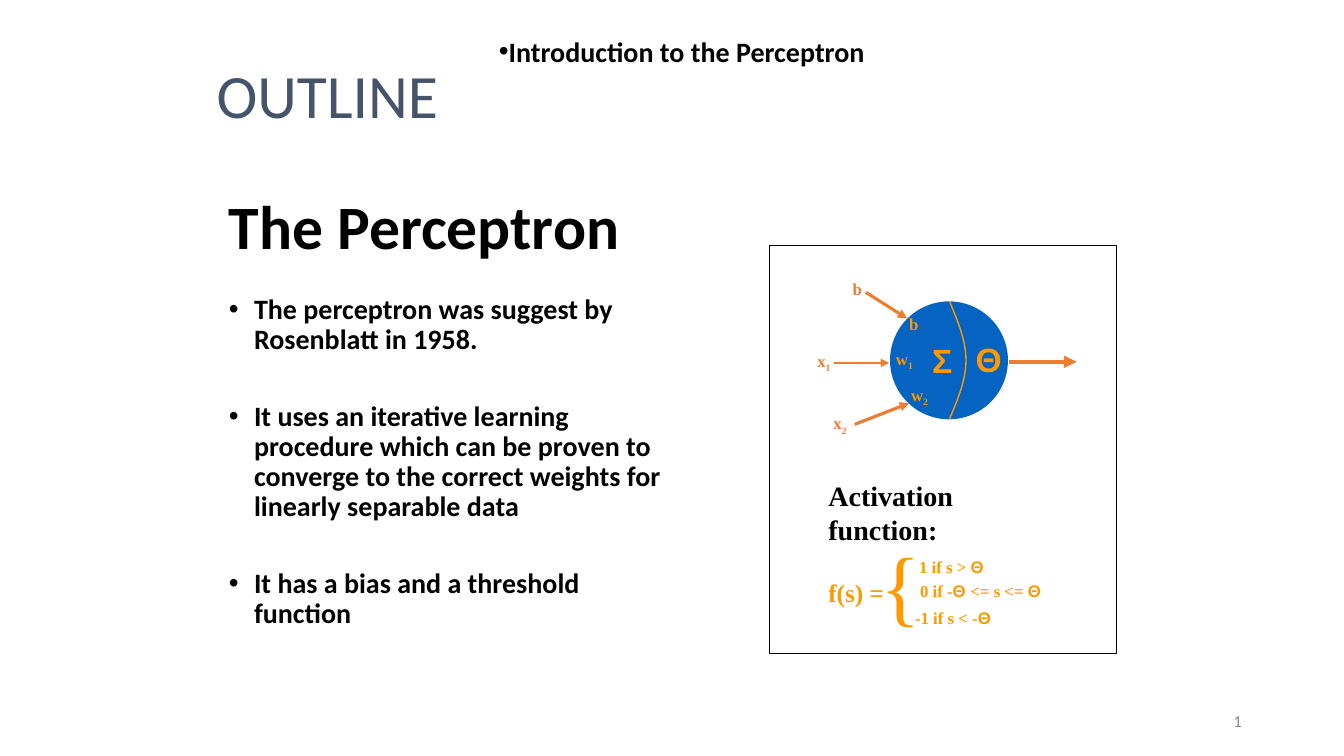
"""Builds the perceptron outline slide on a grid of 40 by 22.5 square cells."""
from dataclasses import dataclass

from lxml import etree
from pptx import Presentation
from pptx import util as u
from pptx.dml.color import RGBColor
from pptx.enum import shapes, text
from pptx.oxml.ns import qn
from pptx.shapes.shapetree import GroupShapes
from pptx.slide import Slide
from pptx.text.text import TextFrame, _Paragraph, _Run

CELL = u.Inches(1) / 3
COLUMNS, ROWS = 40, 22.5


@dataclass(frozen=True)
class Theme:
    """Holds the fonts, colours and type sizes."""

    sans: str = "Calibri"
    serif: str = "Times New Roman"
    symbol: str = "Arial"
    ink: str = "000000"
    paper: str = "FFFFFF"
    heading: str = "44546A"
    muted: str = "8C8C8C"
    cell_body: str = "0563C1"
    gold: str = "FF9900"
    orange: str = "ED7D31"
    small: int = 12
    formula: int = 18
    body: int = 20
    sign: int = 24
    title: int = 44
    brace: int = 60


THEME = Theme()


@dataclass(frozen=True)
class Span:
    """Describes a stretch of text in one format."""

    words: str
    color: str = THEME.gold
    size: int = THEME.small
    font: str = THEME.serif
    bold: bool = True
    subscript: bool = False


@dataclass(frozen=True)
class Area:
    """Gives a place and a size in columns and rows."""

    column: float
    row: float
    columns: float
    rows: float

    def emu(self) -> tuple[int, int, int, int]:
        """Return left, top, width and height in slide units."""
        return grid(self.column), grid(self.row), grid(self.columns), grid(self.rows)


@dataclass(frozen=True)
class Label:
    """Describes one line of text and its place."""

    area: Area
    spans: tuple[Span, ...]


@dataclass(frozen=True)
class Arrow:
    """Describes an arrow between two grid points."""

    start: tuple[float, float]
    end: tuple[float, float]
    weight: float


def grid(cells: float) -> int:
    """Turn a count of cells into slide units."""
    return round(cells * CELL)


def weighted(name: str, number: int, color: str) -> tuple[Span, Span]:
    """Return a letter followed by its index."""
    return Span(name, color), Span(str(number), color, subscript=True)


THETA = Span("Θ", font=THEME.symbol)

NEURON_LABELS = [
    Label(Area(28.74, 9.93, 1.35, 1.5), (Span("Θ", size=THEME.sign, font=THEME.symbol),)),
    Label(Area(27.45, 9.96, 1.2, 1.5), (Span("Σ", size=THEME.sign, font=THEME.symbol),)),
    Label(Area(26.37, 10.23, 1.14, 0.9), weighted("w", 1, THEME.gold)),
    Label(Area(26.82, 11.31, 1.14, 0.9), weighted("w", 2, THEME.gold)),
    Label(Area(24.03, 10.29, 1.02, 0.9), weighted("x", 1, THEME.orange)),
    Label(Area(24.51, 12.15, 1.02, 0.9), weighted("x", 2, THEME.orange)),
    Label(Area(25.08, 8.16, 0.87, 0.9), (Span("b", THEME.orange),)),
    Label(Area(26.76, 9.18, 0.87, 0.9), (Span("b"),)),
]

ARROWS = [
    Arrow((30.03, 10.77), (32.04, 10.77), 3),
    Arrow((25.77, 8.7), (27, 9.48), 2.25),
    Arrow((25.44, 12.63), (27.06, 12), 2.25),
    Arrow((24.81, 10.8), (26.46, 10.8), 1.5),
]

FORMULA_LABELS = [
    Label(Area(24.36, 16.77, 2.52, 1.5),
          (Span("f(s) =", size=THEME.formula), Span(" ", THEME.ink, THEME.sign, bold=False))),
    Label(Area(27.06, 16.41, 2.64, 0.9), (Span("1 if s > "), THETA)),
    Label(Area(27.09, 17.13, 4.29, 0.9),
          (Span("0 if -"), Span("Θ ", font=THEME.symbol), Span("<= s <= "), THETA)),
    Label(Area(26.94, 17.94, 2.97, 0.9), (Span("-1 if s < -"), THETA)),
    Label(Area(25.92, 15.69, 1.8, 3.3), (Span("{", size=THEME.brace, bold=False),)),
]

POINTS = [
    "The perceptron was suggest by Rosenblatt in 1958.",
    "It uses an iterative learning procedure which can be proven to converge "
    "to the correct weights for linearly separable data",
    "It has a bias and a threshold function",
]


def format_run(run: _Run, span: Span) -> None:
    """Give a run the format of its span."""
    run.font.name, run.font.size, run.font.bold = span.font, u.Pt(span.size), span.bold
    run.font.color.rgb = RGBColor.from_string(span.color)
    if span.subscript:
        run.font._element.set("baseline", "-25000")


def fill_paragraph(para: _Paragraph, spans: tuple[Span, ...]) -> None:
    """Write the spans into a paragraph."""
    for span in spans:
        run = para.add_run()
        run.text = span.words
        format_run(run, span)


def add_bullet(para: _Paragraph, indent: float = 0) -> None:
    """Put a round bullet before a paragraph with a hanging indent in cells."""
    properties = para._p.get_or_add_pPr()
    properties.set("marL", str(grid(indent)))
    properties.set("indent", str(-grid(indent)))
    etree.SubElement(properties, qn("a:buFont")).set("typeface", THEME.symbol)
    etree.SubElement(properties, qn("a:buChar")).set("char", "•")


def add_label(target: GroupShapes, label: Label, wrap: bool = False) -> TextFrame:
    """Add a text box and return its frame."""
    frame = target.add_textbox(*label.area.emu()).text_frame
    frame.word_wrap = wrap
    frame.auto_size = text.MSO_AUTO_SIZE.SHAPE_TO_FIT_TEXT
    fill_paragraph(frame.paragraphs[0], label.spans)
    return frame


def add_arrow(target: GroupShapes, arrow: Arrow) -> None:
    """Add a straight arrow with a triangular head."""
    ends = [grid(value) for value in (*arrow.start, *arrow.end)]
    line = target.add_connector(shapes.MSO_CONNECTOR.STRAIGHT, *ends)
    line.line.width = u.Pt(arrow.weight)
    line.line.color.rgb = RGBColor.from_string(THEME.orange)
    etree.SubElement(line.line._get_or_add_ln(), qn("a:tailEnd")).set("type", "triangle")
    etree.SubElement(line._element.spPr, qn("a:effectLst"))


def add_neuron(target: GroupShapes) -> None:
    """Draw the cell, its dividing arc, labels and arrows."""
    body = target.add_shape(shapes.MSO_SHAPE.OVAL, *Area(26.49, 8.97, 3.51, 3.51).emu())
    body.shadow.inherit = False
    body.fill.solid()
    body.fill.fore_color.rgb = RGBColor.from_string(THEME.cell_body)
    body.line.fill.background()
    points = []
    for step in range(-20, 21):
        rise = 1 - abs(step) / 20
        bulge = 0.49 * (1.5 * rise - 0.5 * rise ** 3)
        points.append((grid(28.26 + bulge), grid(10.72 + 1.75 * step / 20)))
    builder = target.build_freeform(*points[0])
    builder.add_line_segments(points[1:], close=False)
    arc = builder.convert_to_shape()
    arc.shadow.inherit = False
    arc.fill.background()
    arc.line.color.rgb = RGBColor.from_string(THEME.gold)
    arc.line.width = u.Pt(1)
    for label in NEURON_LABELS:
        add_label(target, label)
    for arrow in ARROWS:
        add_arrow(target, arrow)


def add_panel(page: Slide) -> None:
    """Draw the framed panel with the neuron and its activation function."""
    frame = page.shapes.add_shape(shapes.MSO_SHAPE.RECTANGLE, *Area(22.89, 7.32, 10.35, 12.12).emu())
    frame.shadow.inherit = False
    frame.fill.solid()
    frame.fill.fore_color.rgb = RGBColor.from_string(THEME.paper)
    frame.line.color.rgb = RGBColor.from_string(THEME.ink)
    frame.line.width = u.Pt(0.75)
    add_neuron(page.shapes.add_group_shape().shapes)
    caption = Span("Activation function:", THEME.ink, THEME.body)
    add_label(page.shapes, Label(Area(24.36, 14.1, 5.1, 2.3), (caption,)), wrap=True)
    formula = page.shapes.add_group_shape().shapes
    for label in FORMULA_LABELS:
        add_label(formula, label)


def fill_placeholders(page: Slide) -> None:
    """Place and format the title and the bullet list."""
    title, body = page.shapes.title, page.placeholders[1]
    areas = Area(6.51, 4.95, 15.57, 3.75), Area(6.51, 8.64, 13.56, 11.46)
    anchors = text.MSO_ANCHOR.MIDDLE, text.MSO_ANCHOR.TOP
    contents = "The Perceptron", "\n".join(POINTS)
    for box, area, anchor, words in zip((title, body), areas, anchors, contents):
        box.left, box.top, box.width, box.height = area.emu()
        frame = box.text_frame
        frame.text = words
        frame.word_wrap, frame.auto_size = True, text.MSO_AUTO_SIZE.NONE
        frame.vertical_anchor = anchor
        size = THEME.title if box is title else THEME.body
        for index, para in enumerate(frame.paragraphs):
            para.alignment, para.line_spacing = text.PP_ALIGN.LEFT, 0.9
            para.space_before = u.Pt(33 if index else 0)
            if box is body:
                add_bullet(para, 0.75)
            format_run(para.runs[0], Span(para.text, THEME.ink, size, THEME.sans))


def main() -> None:
    """Build and save the deck."""
    deck = Presentation()
    deck.slide_width, deck.slide_height = grid(COLUMNS), grid(ROWS)
    page = deck.slides.add_slide(deck.slide_layouts[1])
    fill_placeholders(page)
    add_panel(page)
    outline = Span("OUTLINE", THEME.heading, THEME.title, THEME.sans, bold=False)
    add_label(page.shapes, Label(Area(6.15, 1.56, 7.26, 2.52), (outline,)))
    topic = Span("Introduction to the Perceptron", THEME.ink, THEME.body, THEME.sans)
    header = add_label(page.shapes, Label(Area(14.55, 0.87, 19.44, 2.31), (topic,)), wrap=True)
    add_bullet(header.paragraphs[0])
    number = Span("1", THEME.muted, THEME.small, THEME.sans, bold=False)
    footer = add_label(page.shapes, Label(Area(28.26, 20.85, 9, 1.2), (number,)), wrap=True)
    footer.auto_size = text.MSO_AUTO_SIZE.NONE
    footer.vertical_anchor = text.MSO_ANCHOR.MIDDLE
    footer.paragraphs[0].alignment = text.PP_ALIGN.RIGHT
    deck.save("out.pptx")


if __name__ == "__main__":
    main()
